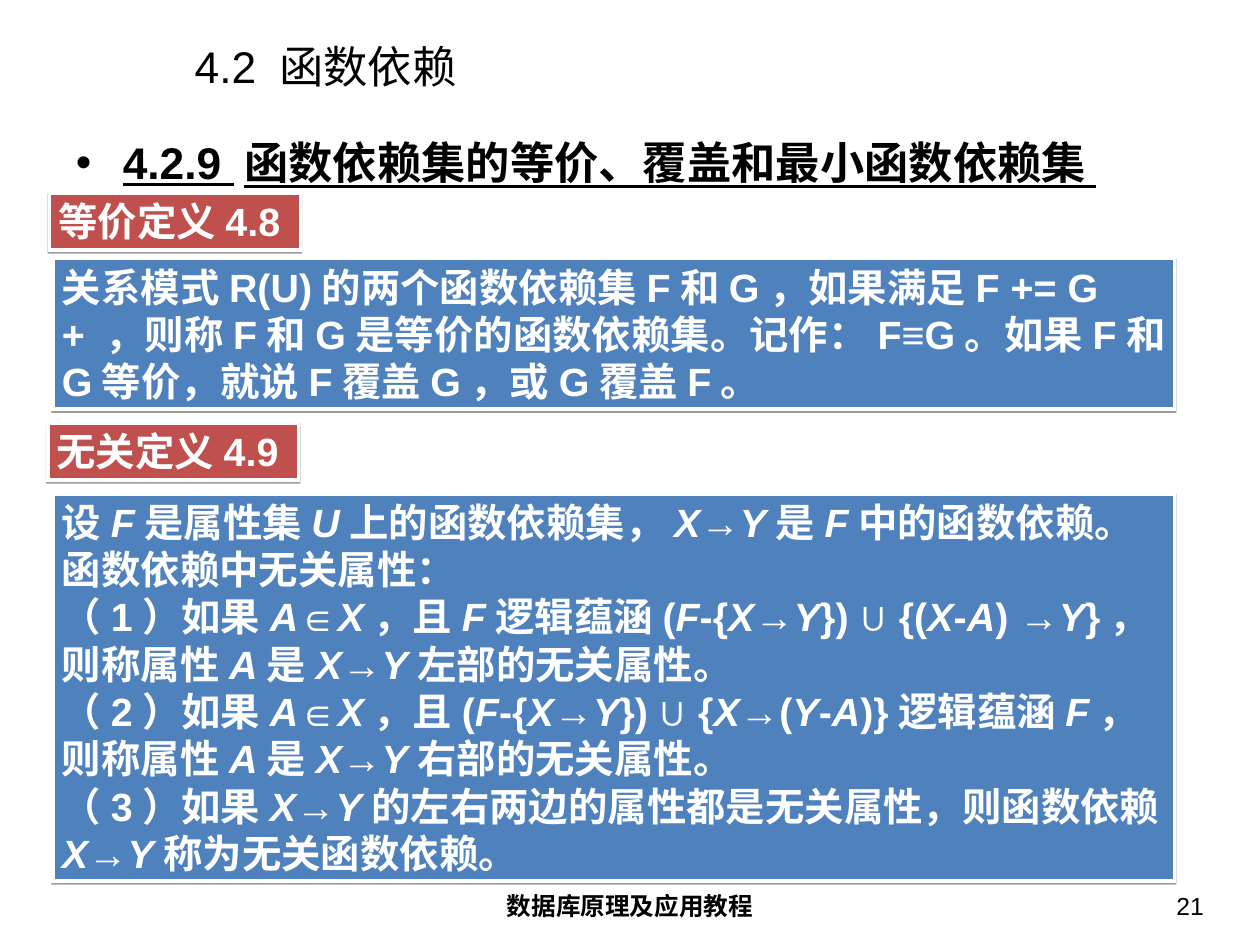
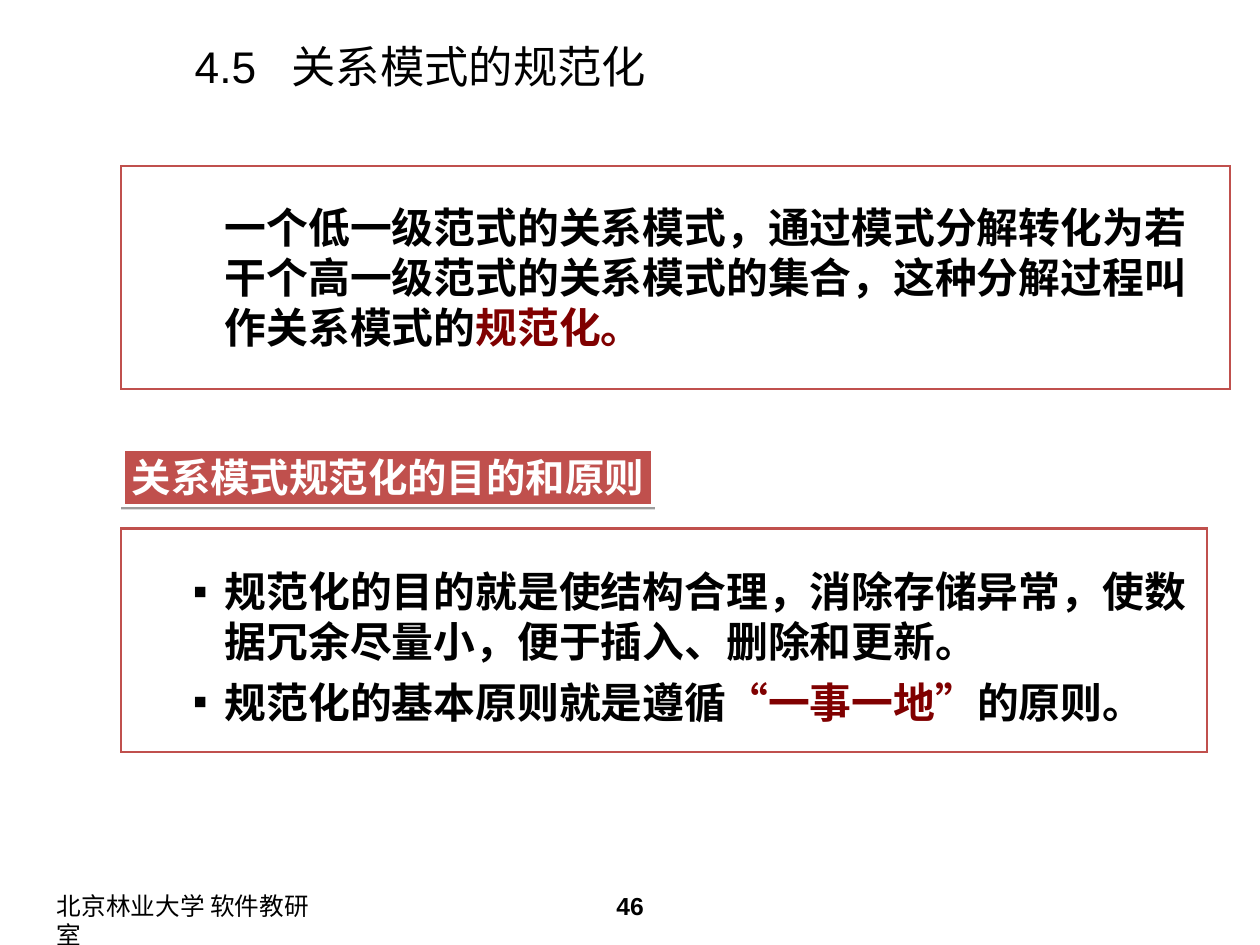
from itertools import groupby
from lxml.etree import SubElement
from pptx import Presentation
from pptx.dml.color import RGBColor
from pptx.enum.shapes import MSO_SHAPE as Shape
from pptx.enum.text import MSO_ANCHOR as Anchor, MSO_AUTO_SIZE as AutoSize, PP_ALIGN as Align
from pptx.oxml.ns import qn
from pptx.util import Pt

SLIDE_WIDTH, SLIDE_HEIGHT = 1023.88, 767.87
BLACK, WHITE, RED, BLUE, MAROON = "000000", "FFFFFF", "C0504D", "4F81BD", "800000"
LATIN, CHINESE = "Arial", "Noto Sans CJK SC"
LINE_HEIGHT = 1.2
TEXT_INSETS, BOX_INSETS = (10.2, 5.1), (7.2, 3.6)
TITLE_BOX = (148, 33, 851.8, 41)
FOOTER_TOP, FOOTER_HEIGHT = 718.6, 39.6
FOOTER_SLOTS = {
    "left": (36, 239, Align.LEFT),
    "center": (350, 324, Align.CENTER),
    "right": (749.5, 239, Align.RIGHT),
}


def plain(text):
    return [(text, {})]


def italic_letters(text):
    groups = groupby(text, lambda letter: letter.isascii() and letter.isalpha())
    return [("".join(letters), {"italic": is_letter}) for is_letter, letters in groups]


DEFINITION_EQUIVALENT = (
    "关系模式R(U)的两个函数依赖集F和G，如果满足F += G + ，则称F和G是等价的函数依赖集。"
    "记作：F≡G。如果F和G等价，就说F覆盖G，或G覆盖F。"
)
DEFINITION_EXTRANEOUS = [
    "设F是属性集U上的函数依赖集，X→Y是F中的函数依赖。函数依赖中无关属性：",
    "（1）如果A∈X，且F逻辑蕴涵(F-{X→Y}) ∪ {(X-A) →Y}，则称属性A是X→Y左部的无关属性。",
    "（2）如果A∈X，且(F-{X→Y}) ∪ {X→(Y-A)}逻辑蕴涵F，则称属性A是X→Y右部的无关属性。",
    "（3）如果X→Y的左右两边的属性都是无关属性，则函数依赖X→Y称为无关函数依赖。",
]
SQUARE = {"bullet": "▪", "left": 128.2, "hanging": 26}

SLIDES = [
    {
        "title": "4.2 函数依赖",
        "body_box": (51.4, 105, 921.6, 64),
        "body_size": 36,
        "body": [
            {
                "runs": [("4.2.9 函数依赖集的等价、覆盖和最小函数依赖集 ", {"underline": True})],
                "bullet": "•", "left": 38.2, "hanging": 38.2,
            },
        ],
        "frames": [],
        "labels": [
            ((40.3, 157, 203.8, 46), "等价定义4.8"),
            ((38.9, 343.8, 203.8, 46), "无关定义4.9"),
        ],
        "panels": [
            ((43.2, 210, 911.2, 122.4), [plain(DEFINITION_EQUIVALENT)]),
            ((43.2, 401.2, 911.2, 314.6), [italic_letters(text) for text in DEFINITION_EXTRANEOUS]),
        ],
        "footers": [("center", "数据库原理及应用教程", True), ("right", "21", False)],
    },
    {
        "title": "4.5  关系模式的规范化",
        "body_box": (44.3, 158.6, 935.3, 540),
        "body_size": 34,
        "body": [
            {
                "runs": [
                    ("一个低一级范式的关系模式，通过模式分解转化为若干个高一级范式的关系模式的集合，"
                     "这种分解过程叫作关系模式的", {}),
                    ("规范化。", {"color": MAROON}),
                ],
                "left": 128.2,
            },
            {
                "runs": plain("规范化的目的就是使结构合理，消除存储异常，使数据冗余尽量小，便于插入、删除和更新。"),
                "before": 173.5, **SQUARE,
            },
            {
                "runs": [
                    ("规范化的基本原则就是遵循", {}),
                    ("“", {"color": MAROON, "font_name": CHINESE}),
                    ("一事一地", {"color": MAROON}),
                    ("”", {"color": MAROON, "font_name": CHINESE}),
                    ("的原则。", {}),
                ],
                "before": 8.5, **SQUARE,
            },
        ],
        "frames": [(98.2, 134.8, 901.2, 181.4), (98.2, 429.5, 882.5, 181.4)],
        "labels": [((100, 364.8, 430.6, 46), "关系模式规范化的目的和原则")],
        "panels": [],
        "footers": [("left", "北京林业大学 软件教研室", False), ("center", "46", True)],
    },
]


def rgb(value):
    return RGBColor.from_string(value)


def place(shape, box):
    shape.left, shape.top, shape.width, shape.height = map(Pt, box)


def add_run(paragraph, text, size, color, bold, italic=False, underline=False, font_name=LATIN):
    run = paragraph.add_run()
    run.text = text
    font = run.font
    font.size, font.name = Pt(size), font_name
    font.bold, font.italic, font.underline = bold, italic, underline
    font.color.rgb = rgb(color)
    SubElement(run.font._element, qn("a:ea"), typeface=CHINESE)


def set_indent(paragraph, bullet=None, left=0, hanging=0):
    properties = paragraph._p.get_or_add_pPr()
    properties.set("marL", str(Pt(left)))
    properties.set("indent", str(-Pt(hanging)))
    if bullet:
        SubElement(properties, qn("a:buFont"), typeface=LATIN)
        SubElement(properties, qn("a:buChar"), char=bullet)
    else:
        SubElement(properties, qn("a:buNone"))


def write(shape, paragraphs, size, color=BLACK, bold=False, align=Align.LEFT,
          insets=TEXT_INSETS, anchor=Anchor.TOP, wrap=True):
    frame = shape.text_frame
    frame.auto_size, frame.word_wrap, frame.vertical_anchor = AutoSize.NONE, wrap, anchor
    side, edge = insets
    frame.margin_left = frame.margin_right = Pt(side)
    frame.margin_top = frame.margin_bottom = Pt(edge)
    for index, item in enumerate(paragraphs):
        paragraph = frame.add_paragraph() if index else frame.paragraphs[0]
        set_indent(paragraph, item.get("bullet"), item.get("left", 0), item.get("hanging", 0))
        paragraph.alignment = align
        paragraph.line_spacing = Pt(size * LINE_HEIGHT)
        paragraph.space_before, paragraph.space_after = Pt(item.get("before", 0)), Pt(0)
        for text, style in item["runs"]:
            add_run(paragraph, text, size, **{"color": color, "bold": bold, **style})


def add_rectangle(slide, box, fill, line, line_width):
    shape = slide.shapes.add_shape(Shape.RECTANGLE, *map(Pt, box))
    shape.shadow.inherit = False
    shape.fill.solid()
    shape.fill.fore_color.rgb = rgb(fill)
    shape.line.color.rgb = rgb(line)
    shape.line.width = Pt(line_width)
    SubElement(shape.element.spPr.find(qn("a:ln")), qn("a:miter"), lim="800000")
    return shape


def add_frame(slide, box):
    frame = add_rectangle(slide, box, WHITE, RED, 2)
    slide.shapes.element.insert(2, frame.element)


def add_block(slide, box, fill, paragraphs, wrap=True):
    block = add_rectangle(slide, box, fill, WHITE, 3)
    effects = block.element.spPr.find(qn("a:effectLst"))
    shadow = SubElement(effects, qn("a:outerShdw"), blurRad="0", dist=str(Pt(1.6)),
                        dir="5400000", rotWithShape="0")
    shadow_color = SubElement(shadow, qn("a:srgbClr"), val=BLACK)
    SubElement(shadow_color, qn("a:alpha"), val="38000")
    write(block, [{"runs": runs} for runs in paragraphs], 32, WHITE, True,
          insets=BOX_INSETS, wrap=wrap)


def add_footer(slide, slot, text, bold):
    left, width, align = FOOTER_SLOTS[slot]
    footer = slide.shapes.add_textbox(*map(Pt, (left, FOOTER_TOP, width, FOOTER_HEIGHT)))
    write(footer, [{"runs": plain(text)}], 20, bold=bold, align=align)


def build_slide(presentation, content):
    slide = presentation.slides.add_slide(presentation.slide_layouts[1])
    title, body = slide.shapes.title, slide.placeholders[1]
    place(title, TITLE_BOX)
    write(title, [{"runs": plain(content["title"])}], 36, anchor=Anchor.MIDDLE)
    place(body, content["body_box"])
    write(body, content["body"], content["body_size"], bold=True)
    for box in content["frames"]:
        add_frame(slide, box)
    for box, text in content["labels"]:
        add_block(slide, box, RED, [plain(text)], wrap=False)
    for box, paragraphs in content["panels"]:
        add_block(slide, box, BLUE, paragraphs)
    for footer in content["footers"]:
        add_footer(slide, *footer)


def main():
    presentation = Presentation()
    presentation.slide_width, presentation.slide_height = Pt(SLIDE_WIDTH), Pt(SLIDE_HEIGHT)
    for content in SLIDES:
        build_slide(presentation, content)
    presentation.save("out.pptx")


if __name__ == "__main__":
    main()
